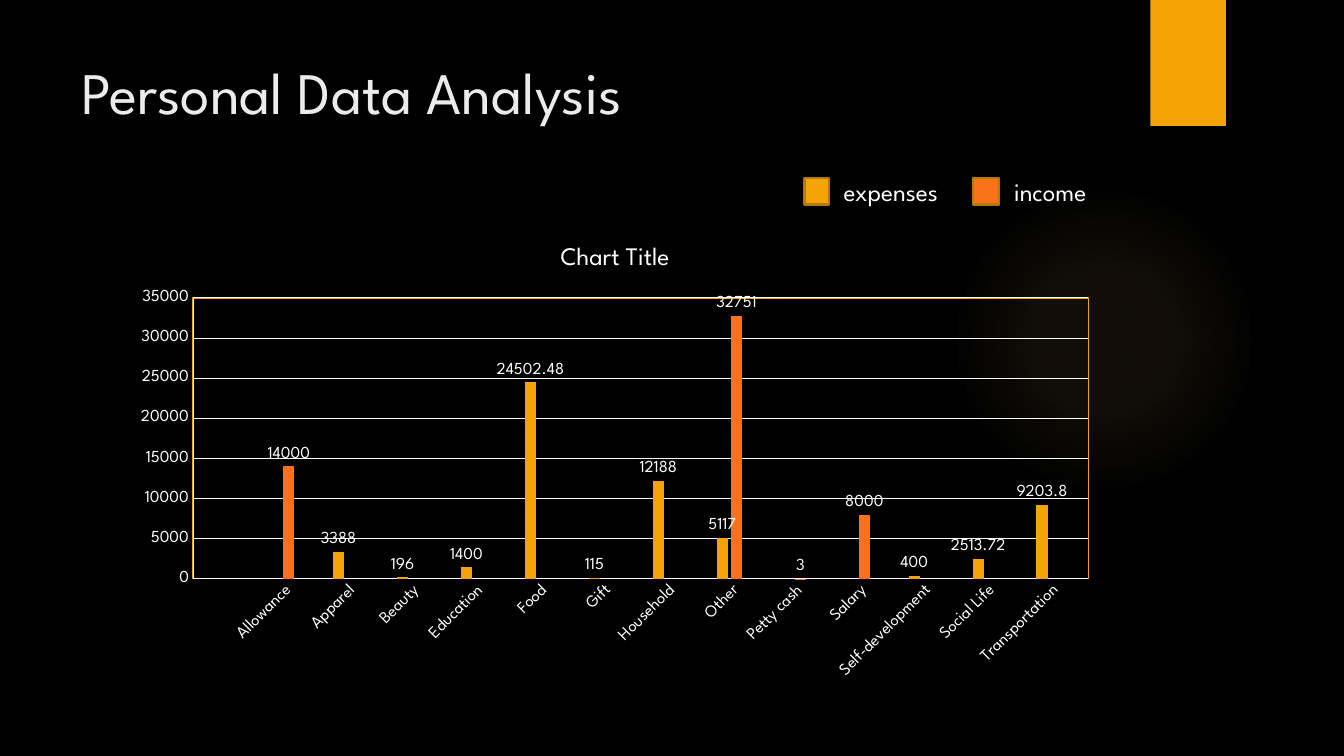
from lxml import etree
from pptx import Presentation
from pptx.chart.data import CategoryChartData
from pptx.dml.color import RGBColor
from pptx.enum.chart import XL_CHART_TYPE, XL_LABEL_POSITION, XL_TICK_MARK
from pptx.enum.shapes import MSO_SHAPE
from pptx.enum.text import MSO_ANCHOR, MSO_AUTO_SIZE
from pptx.oxml import parse_xml
from pptx.oxml.ns import nsdecls, qn
from pptx.util import Inches, Pt

FONT = "League Spartan"
BLACK = RGBColor(0x00, 0x00, 0x00)
WHITE = RGBColor(0xFF, 0xFF, 0xFF)
TITLE_GREY = RGBColor(0xEB, 0xEB, 0xEB)
AMBER = RGBColor(0xF5, 0xA4, 0x08)
DARK_AMBER = RGBColor(0xB5, 0x79, 0x06)
ORANGE = RGBColor(0xFA, 0x73, 0x1A)
TAUPE = RGBColor(0xAB, 0x92, 0x81)
GLOW = RGBColor(0xFA, 0xC9, 0x6A)


def style_font(font, size, color=WHITE):
    font.name = FONT
    font.size = Pt(size)
    font.bold = False
    font.color.rgb = color


def add_block(shape_type, left, top, width, height, color):
    sp = s.shapes.add_shape(shape_type, Inches(left), Inches(top), Inches(width), Inches(height))
    sp.shadow.inherit = False
    sp.fill.solid()
    sp.fill.fore_color.rgb = color
    sp.line.fill.background()
    return sp


prs = Presentation()
prs.slide_width, prs.slide_height = Inches(13.33), Inches(7.5)
s = prs.slides.add_slide(prs.slide_layouts[5])
s.background.fill.solid()
s.background.fill.fore_color.rgb = BLACK

# Soft round glow
glow = add_block(MSO_SHAPE.OVAL, 9.41, 1.83, 3.08, 3.08, GLOW)
stops = "".join(
    f'<a:gs pos="{pos * 1000}"><a:srgbClr val="{GLOW}"><a:alpha val="{alpha * 1000}"/></a:srgbClr></a:gs>'
    for pos, alpha in [(0, 7), (36, 6), (69, 0)])
solid = glow._element.spPr.find(qn("a:solidFill"))
solid.getparent().replace(solid, parse_xml(
    f'<a:gradFill {nsdecls("a")}><a:gsLst>{stops}</a:gsLst><a:path path="circle">'
    '<a:fillToRect l="50000" t="50000" r="50000" b="50000"/></a:path></a:gradFill>'))

# Corner tab
add_block(MSO_SHAPE.RECTANGLE, 11.41, 0, 0.75, 1.25, AMBER)

# Title
title = s.shapes.title
title.left, title.top, title.width, title.height = Inches(0.71), Inches(0.5), Inches(10.29), Inches(1.53)
tf = title.text_frame
tf.text = "Personal Data Analysis"
tf.vertical_anchor = MSO_ANCHOR.TOP
p = tf.paragraphs[0]
p.alignment = 1
style_font(p.runs[0].font, 42, TITLE_GREY)

# Chart data: category, expenses, income
rows = [
    ("", None, None),
    ("Allowance", None, 14000),
    ("Apparel", 3388, None),
    ("Beauty", 196, None),
    ("Education", 1400, None),
    ("Food", 24502.48, None),
    ("Gift", 115, None),
    ("Household", 12188, None),
    ("Other", 5117, 32751),
    ("Petty cash", None, 3),
    ("Salary", None, 8000),
    ("Self-development", 400, None),
    ("Social Life", 2513.72, None),
    ("Transportation", 9203.8, None),
]
categories, expenses, income = zip(*rows)
data = CategoryChartData()
data.categories = categories
data.add_series("Series 1", expenses)
data.add_series("Series 2", income)
data.add_series("Series 3", [None] * len(rows))
chart = s.shapes.add_chart(XL_CHART_TYPE.COLUMN_CLUSTERED, Inches(1.21), Inches(2.24),
                           Inches(9.78), Inches(4.59), data).chart
style_font(chart.font, 10)
chart.has_legend = False
chart.has_title = True
chart.chart_title.include_in_layout = False
tf = chart.chart_title.text_frame
tf.text = "Chart Title"
style_font(tf.paragraphs[0].runs[0].font, 18)

# Columns and their labels
plot = chart.plots[0]
plot.gap_width, plot.overlap = 219, -27
plot.vary_by_categories = False
for series, color in zip(plot.series, [AMBER, ORANGE, TAUPE]):
    series.format.fill.solid()
    series.format.fill.fore_color.rgb = color
    labels = series.data_labels
    labels.show_value = True
    labels.position = XL_LABEL_POSITION.OUTSIDE_END
    style_font(labels.font, 12)

# Axes
for axis in (chart.category_axis, chart.value_axis):
    axis.major_tick_mark = axis.minor_tick_mark = XL_TICK_MARK.NONE
    style_font(axis.tick_labels.font, 12)
    axis.format.line.color.rgb = WHITE
    axis.format.line.width = Pt(0.75)
chart.value_axis.format.line.width = Pt(0.5)
chart.value_axis.minimum_scale, chart.value_axis.maximum_scale = 0, 35000
chart.value_axis.major_unit = 5000
grid = chart.value_axis.major_gridlines.format.line
grid.color.rgb = WHITE
grid.width = Pt(0.75)
body = chart.category_axis._element.find(qn("c:txPr")).find(qn("a:bodyPr"))
body.set("rot", "-2700000")
body.set("vert", "horz")

# Plot area position and border
area = chart._chartSpace.chart.plotArea
for old in area.findall(qn("c:layout")):
    area.remove(old)
layout = etree.Element(qn("c:layout"))
manual = etree.SubElement(layout, qn("c:manualLayout"))
for tag, value in [("layoutTarget", "inner"), ("xMode", "edge"), ("yMode", "edge"),
                   ("x", "0.072"), ("y", "0.156"), ("w", "0.908"), ("h", "0.607")]:
    etree.SubElement(manual, qn(f"c:{tag}")).set("val", value)
area.insert(0, layout)
area.append(parse_xml(
    f'<c:spPr {nsdecls("c", "a")}><a:noFill/><a:ln w="9525"><a:solidFill>'
    f'<a:srgbClr val="{AMBER}"/></a:solidFill></a:ln></c:spPr>'))

# Legend above the chart
for name, color, key_left, key_width, text_left, text_width, wrap in [
        ("expenses", AMBER, 7.98, 0.24, 8.27, 1.34, True),
        ("income", ORANGE, 9.65, 0.26, 9.96, 1.14, False)]:
    key = add_block(MSO_SHAPE.RECTANGLE, key_left, 1.77, key_width, 0.26, color)
    key.line.color.rgb = DARK_AMBER
    key.line.width = Pt(1.5)
    tf = s.shapes.add_textbox(Inches(text_left), Inches(1.7), Inches(text_width), Inches(0.4)).text_frame
    tf.text = name
    tf.word_wrap = wrap
    tf.auto_size = MSO_AUTO_SIZE.SHAPE_TO_FIT_TEXT
    style_font(tf.paragraphs[0].runs[0].font, 18)

prs.save("out.pptx")
